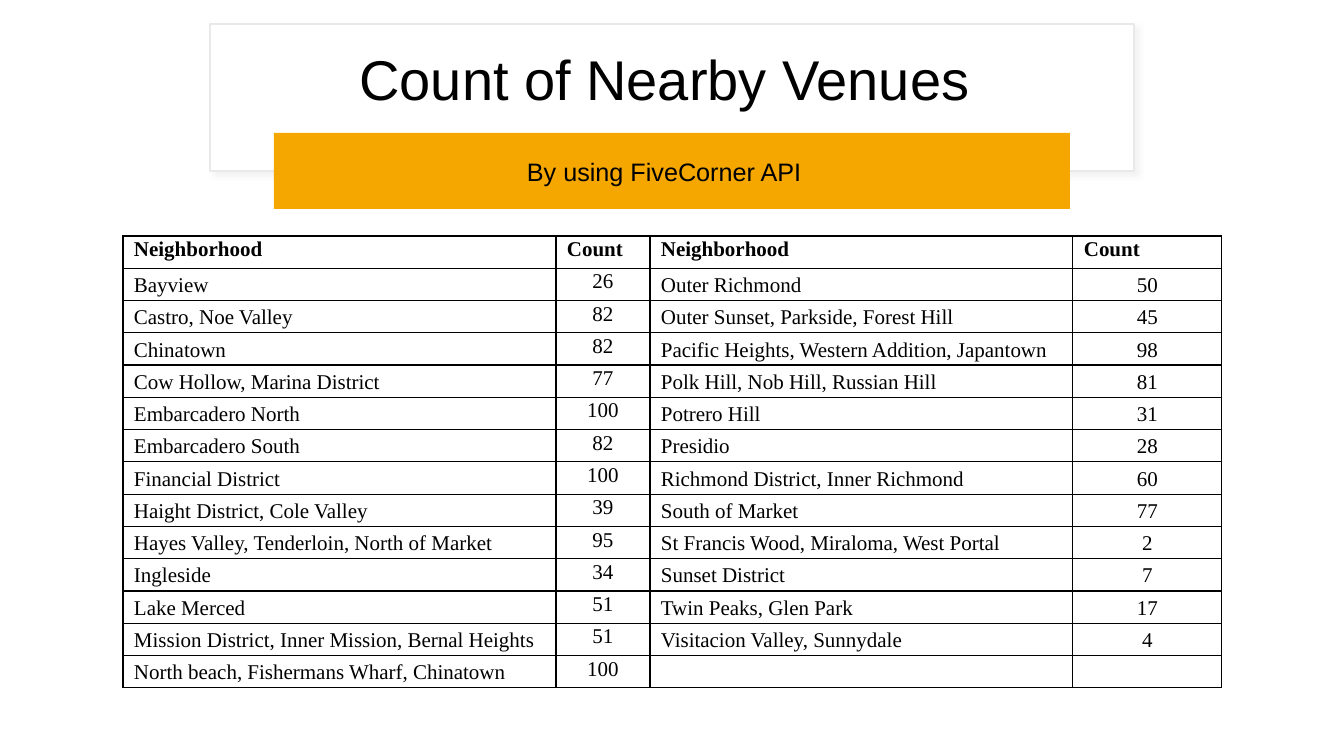
"""Build the slide that lists venue counts by neighborhood."""
from lxml.etree import SubElement
from pptx import Presentation
from pptx.dml.color import RGBColor
from pptx.enum.shapes import MSO_SHAPE
from pptx.enum.text import MSO_ANCHOR, PP_ALIGN
from pptx.oxml.ns import qn
from pptx.util import Pt

PIXEL = 914400 / 100.8
BLACK = RGBColor(0x00, 0x00, 0x00)
WHITE = RGBColor(0xFF, 0xFF, 0xFF)
PALE_GRAY = RGBColor(0xE9, 0xE9, 0xE9)
SHADOW_GRAY = RGBColor(0xD9, 0xD9, 0xD9)
AMBER = RGBColor(0xF5, 0xA7, 0x00)

COLUMN_WIDTHS = [433, 94, 423, 149]
HEADER = ["Neighborhood", "Count"]
LEFT_VENUES = [
    ("Bayview", 26),
    ("Castro, Noe Valley", 82),
    ("Chinatown", 82),
    ("Cow Hollow, Marina District", 77),
    ("Embarcadero North", 100),
    ("Embarcadero South", 82),
    ("Financial District", 100),
    ("Haight District, Cole Valley", 39),
    ("Hayes Valley, Tenderloin, North of Market", 95),
    ("Ingleside", 34),
    ("Lake Merced", 51),
    ("Mission District, Inner Mission, Bernal Heights", 51),
    ("North beach, Fishermans Wharf, Chinatown", 100),
]
RIGHT_VENUES = [
    ("Outer Richmond", 50),
    ("Outer Sunset, Parkside, Forest Hill", 45),
    ("Pacific Heights, Western Addition, Japantown", 98),
    ("Polk Hill, Nob Hill, Russian Hill", 81),
    ("Potrero Hill", 31),
    ("Presidio", 28),
    ("Richmond District, Inner Richmond", 60),
    ("South of Market", 77),
    ("St Francis Wood, Miraloma, West Portal", 2),
    ("Sunset District", 7),
    ("Twin Peaks, Glen Park", 17),
    ("Visitacion Valley, Sunnydale", 4),
    ("", ""),
]


def px(length):
    """Turn pixels into EMU."""
    return round(length * PIXEL)


def style_text(paragraph, font_name, size, bold=False):
    """Format every run of a paragraph."""
    for span in paragraph.runs:
        span.font.name = font_name
        span.font.size = Pt(size)
        span.font.bold = bold
        span.font.color.rgb = BLACK


def add_panel(page, kind, bounds, fill):
    """Add a filled shape without line or shadow."""
    panel = page.shapes.add_shape(kind, *map(px, bounds))
    panel.shadow.inherit = False
    panel.fill.solid()
    panel.fill.fore_color.rgb = fill
    panel.line.fill.background()
    return panel


def add_soft_shadow(panel):
    """Give a shape a faint shadow to its lower right."""
    effects = panel.element.spPr.find(qn("a:effectLst"))
    shadow = SubElement(effects, qn("a:outerShdw"), blurRad=str(Pt(4)),
                        dist=str(Pt(3)), dir=str(45 * 60000), algn="tl", rotWithShape="0")
    color = SubElement(shadow, qn("a:srgbClr"), val=str(SHADOW_GRAY))
    SubElement(color, qn("a:alpha"), val="30000")


def add_text(page, bounds, text, size):
    """Add a wrapping text box and return its frame."""
    frame = page.shapes.add_textbox(*map(px, bounds)).text_frame
    frame.word_wrap = True
    frame.text = text
    style_text(frame.paragraphs[0], "Arial", size)
    return frame


def add_borders(cell):
    """Draw a thin black line on each side of a cell."""
    properties = cell._tc.get_or_add_tcPr()
    for side in ("a:lnL", "a:lnR", "a:lnT", "a:lnB"):
        line = SubElement(properties, qn(side), w=str(Pt(1)))
        fill = SubElement(line, qn("a:solidFill"))
        SubElement(fill, qn("a:srgbClr"), val=str(BLACK))


def fill_cell(cell, value, is_header, is_count, is_middle):
    """Write and format one table cell."""
    add_borders(cell)
    cell.fill.background()
    cell.margin_left = cell.margin_right = px(11)
    cell.margin_top, cell.margin_bottom = px(2), 0
    cell.vertical_anchor = MSO_ANCHOR.MIDDLE if is_middle else MSO_ANCHOR.TOP
    cell.text_frame.text = str(value)
    para = cell.text_frame.paragraphs[0]
    para.alignment = PP_ALIGN.CENTER if is_count else PP_ALIGN.LEFT
    style_text(para, "Times New Roman", 15, is_header)


def add_venue_table(page, bounds):
    """Add the table with two pairs of neighborhood and count columns."""
    rows = [HEADER * 2] + [left + right for left, right in zip(LEFT_VENUES, RIGHT_VENUES)]
    table = page.shapes.add_table(len(rows), len(COLUMN_WIDTHS), *map(px, bounds)).table
    table.first_row = table.horz_banding = False
    for column, width in zip(table.columns, COLUMN_WIDTHS):
        column.width = px(width)
    for row_index, row in enumerate(rows):
        is_header = row_index == 0
        for column_index, value in enumerate(row):
            is_count = column_index % 2 == 1 and not is_header
            is_middle = column_index != 1 and not is_header
            fill_cell(table.cell(row_index, column_index), value,
                      is_header, is_count, is_middle)


def main():
    """Build and save the deck."""
    deck = Presentation()
    deck.slide_width, deck.slide_height = px(1344), px(756)
    page = deck.slides.add_slide(deck.slide_layouts[6])

    title_panel = add_panel(page, MSO_SHAPE.RECTANGLE, (210, 24, 924, 147), WHITE)
    title_panel.line.color.rgb = PALE_GRAY
    title_panel.line.width = Pt(1)
    add_soft_shadow(title_panel)
    title = add_text(page, (232, 34, 880, 96), "Count of Nearby Venues ", 40)
    title.vertical_anchor = MSO_ANCHOR.MIDDLE
    title.paragraphs[0].alignment = PP_ALIGN.CENTER
    title.paragraphs[0].line_spacing = 0.9

    banner = add_panel(page, MSO_SHAPE.ROUNDED_RECTANGLE, (274, 133, 796, 76), AMBER)
    banner.adjustments[0] = 0
    add_venue_table(page, (123, 236, sum(COLUMN_WIDTHS), 452))
    add_text(page, (517, 151, 310, 40), "By using FiveCorner API", 18)
    deck.save("out.pptx")


main()
